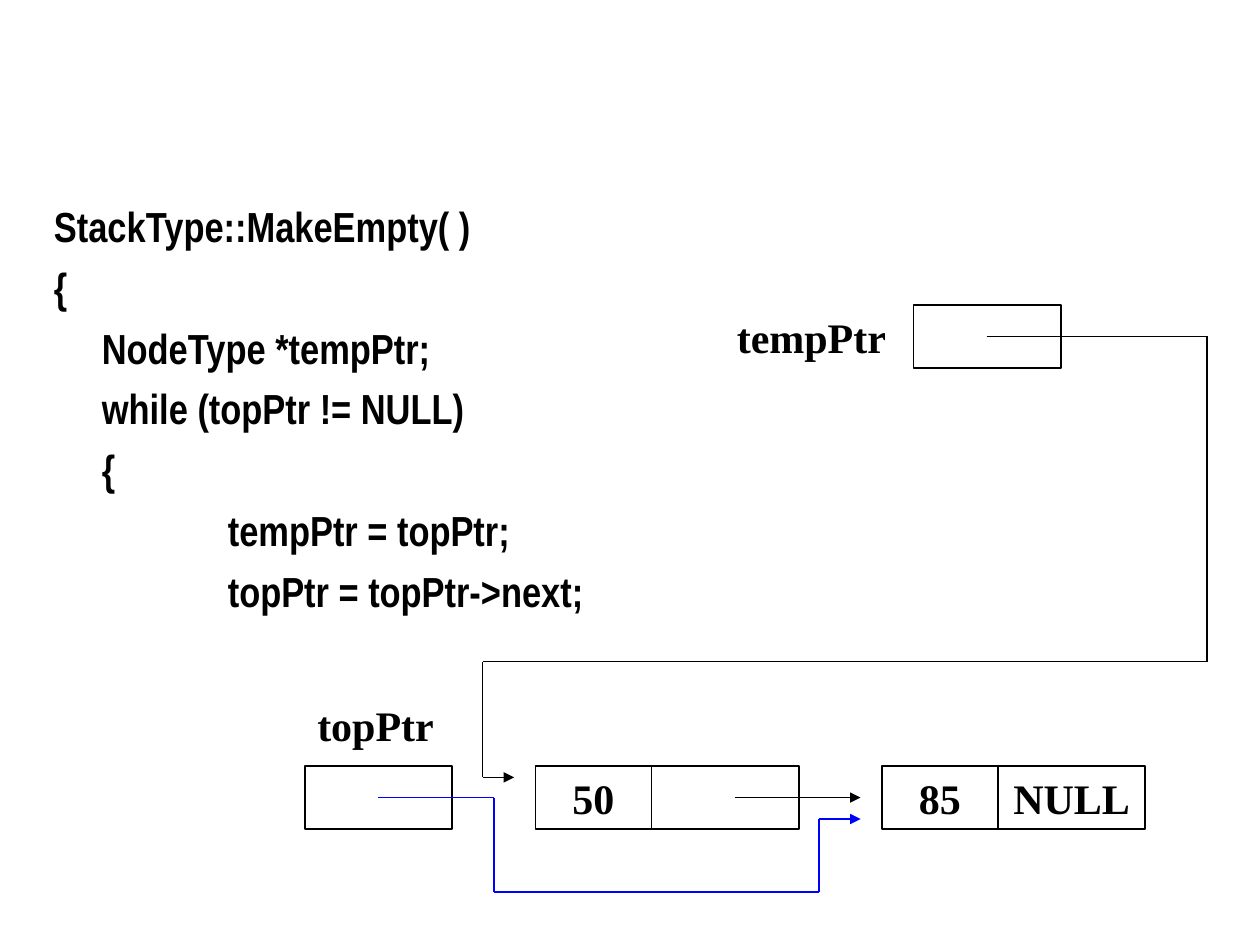
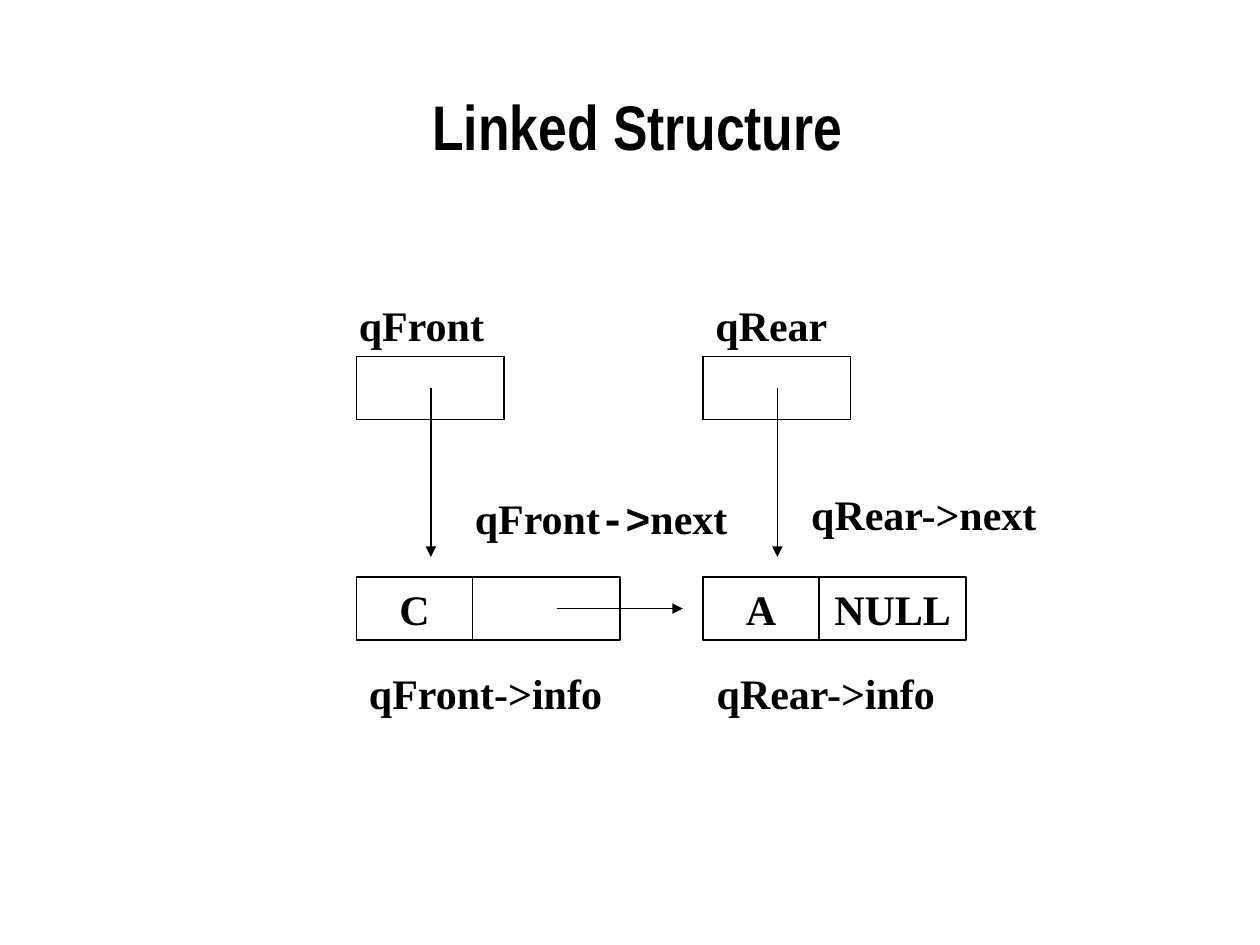
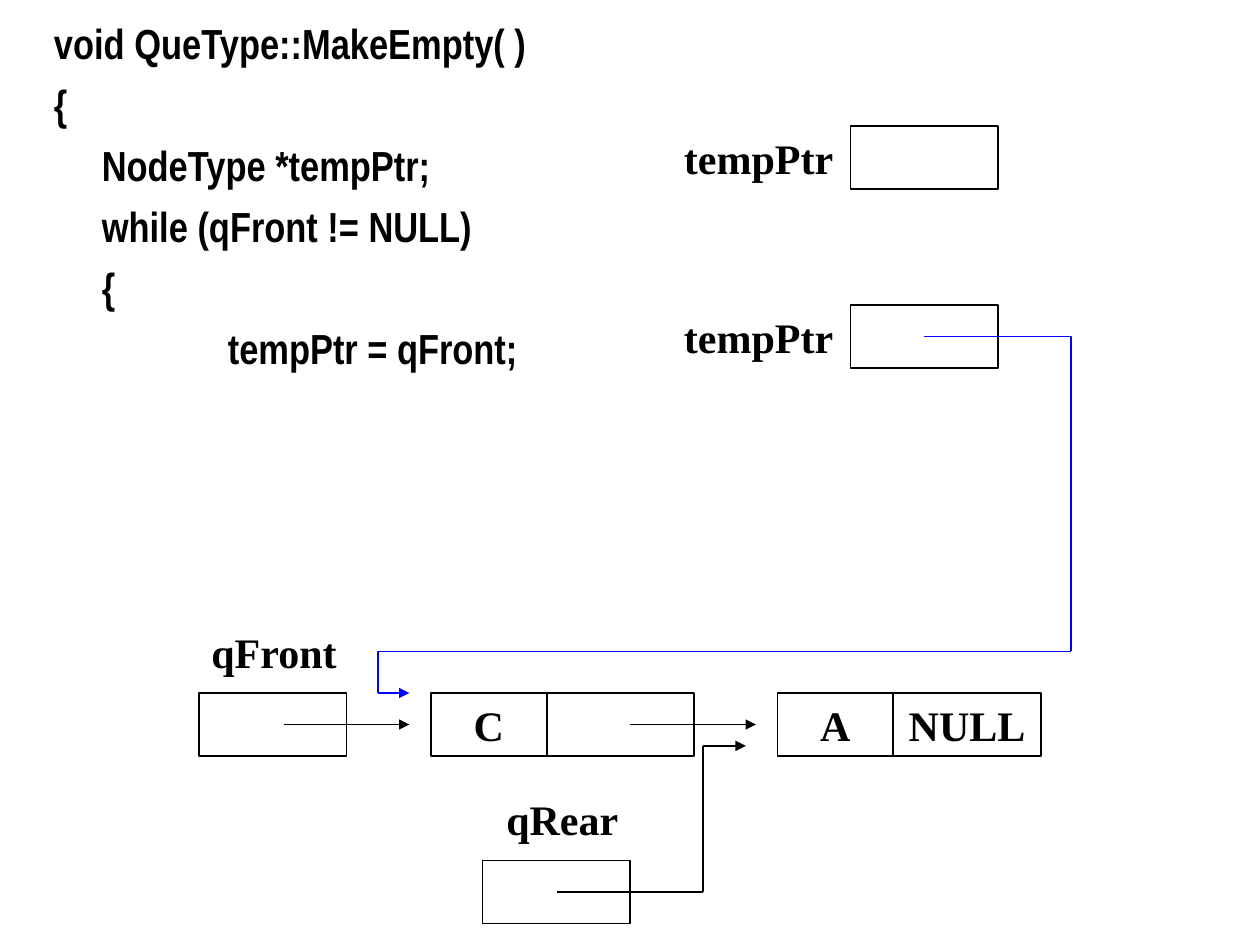
from typing import NamedTuple

from lxml import etree
from pptx import Presentation
from pptx import util as u
from pptx.dml.color import RGBColor
from pptx.enum import shapes, text
from pptx.oxml.ns import qn

COLORS = {"ink": "000000", "paper": "FFFFFF", "new": "0000FF"}
SERIF, NARROW, MONO = "Times New Roman", "Arial Narrow", "Courier New"

# Sizes of the parts of a linked list, in inches
CELL_H, INFO_W, POINTER_W = 0.5, 0.92, 1.17
CODE_INDENTS = (0, 0.38, 1.38)


class Label(NamedTuple):
    content: str | list[tuple[str, str]]
    left: float
    top: float
    width: float
    wrap: bool = True


class Node(NamedTuple):
    info: str
    left: float
    top: float
    link: str = ""


class Pointer(NamedTuple):
    left: float
    top: float


class Route(NamedTuple):
    points: list[tuple[float, float]]
    color: str = "ink"


class CodeLine(NamedTuple):
    level: int
    content: str


def rgb(name: str) -> RGBColor:
    return RGBColor.from_string(COLORS[name])


def write(p, content, *, font=SERIF, size=24, bold=True, color="ink",
          align=text.PP_ALIGN.LEFT) -> None:
    """Write a string, or (string, font) pieces, into a paragraph."""
    p.alignment = align
    pieces = [(content, font)] if isinstance(content, str) else content
    for piece, face in pieces:
        r = p.add_run()
        r.text = piece
        r.font.name, r.font.size, r.font.bold = face, u.Pt(size), bold
        r.font.color.rgb = rgb(color)


def add_box(s, left: float, top: float, width: float, height: float):
    sp = s.shapes.add_textbox(*map(u.Inches, (left, top, width, height)))
    sp.text_frame.word_wrap = True
    return sp.text_frame


def add_title(s, content: str) -> None:
    tf = add_box(s, 0.33, 0.37, 9.46, 1.25)
    tf.vertical_anchor = text.MSO_ANCHOR.MIDDLE
    write(tf.paragraphs[0], content, font=NARROW, size=36,
          align=text.PP_ALIGN.CENTER)


def add_code(s, top: float, height: float, lines: list[CodeLine]) -> None:
    tf = add_box(s, 0.33, top, 9.49, height)
    for i, line in enumerate(lines):
        p = tf.add_paragraph() if i else tf.paragraphs[0]
        p.space_before = u.Pt(6 if i else 0)
        indent = u.Inches(CODE_INDENTS[line.level])
        p._p.get_or_add_pPr().set("marL", str(indent))
        write(p, line.content, font=NARROW)


def add_label(s, label: Label) -> None:
    tf = add_box(s, label.left, label.top, label.width, CELL_H)
    tf.word_wrap = label.wrap
    tf.auto_size = text.MSO_AUTO_SIZE.SHAPE_TO_FIT_TEXT
    write(tf.paragraphs[0], label.content)


def add_cell(s, left: float, top: float, width: float, content: str = "") -> None:
    sp = s.shapes.add_shape(shapes.MSO_SHAPE.RECTANGLE,
                            *map(u.Inches, (left, top, width, CELL_H)))
    sp.shadow.inherit = False
    sp.fill.solid()
    sp.fill.fore_color.rgb = rgb("paper")
    sp.line.color.rgb = rgb("ink")
    sp.line.width = u.Pt(1)
    if content:
        tf = sp.text_frame
        tf.word_wrap = False
        tf.vertical_anchor = text.MSO_ANCHOR.MIDDLE
        write(tf.paragraphs[0], content, align=text.PP_ALIGN.CENTER)


def add_node(s, node: Node) -> None:
    add_cell(s, node.left, node.top, INFO_W, node.info)
    add_cell(s, node.left + INFO_W, node.top, POINTER_W, node.link)


def add_route(s, route: Route) -> None:
    """Draw straight segments through the points, with an arrow at the end."""
    for start, end in zip(route.points, route.points[1:]):
        c = s.shapes.add_connector(shapes.MSO_CONNECTOR.STRAIGHT,
                                   *map(u.Inches, (*start, *end)))
        c.line.color.rgb = rgb(route.color)
        c.line.width = u.Pt(1)
        sp_pr = c._element.spPr
        etree.SubElement(sp_pr, qn("a:effectLst"))
    etree.SubElement(sp_pr.find(qn("a:ln")), qn("a:tailEnd"), type="triangle")


def add_diagram(s, parts: list[Label | Node | Pointer | Route]) -> None:
    for part in parts:
        match part:
            case Pointer(left, top):
                add_cell(s, left, top, POINTER_W)
            case Node():
                add_node(s, part)
            case Label():
                add_label(s, part)
            case Route():
                add_route(s, part)


def stack_make_empty(s) -> None:
    add_code(s, 1.54, 3.5, [
        CodeLine(0, "StackType::MakeEmpty( )"),
        CodeLine(0, "{"),
        CodeLine(1, "NodeType *tempPtr;"),
        CodeLine(1, "while (topPtr != NULL)"),
        CodeLine(1, "{"),
        CodeLine(2, "tempPtr = topPtr;"),
        CodeLine(2, "topPtr = topPtr->next;"),
    ])
    row = 6.08
    add_diagram(s, [
        Pointer(7.25, 2.42), Label("tempPtr", 5.75, 2.42, 1.86),
        Pointer(2.42, row), Label("topPtr", 2.42, 5.5, 1.53),
        Node("50", 4.25, row), Node("85", 7, row, "NULL"),
        Route([(5.83, 6.33), (6.83, 6.33)]),
        Route([(7.83, 2.67), (9.58, 2.67), (9.58, 5.25), (3.83, 5.25),
               (3.83, 6.17), (4.08, 6.17)]),
        Route([(3, 6.33), (3.92, 6.33), (3.92, 7.08), (6.5, 7.08),
               (6.5, 6.5), (6.83, 6.5)], "new"),
    ])


def linked_structure(s) -> None:
    add_title(s, "Linked Structure")
    front, rear = 2.83, 5.58
    add_diagram(s, [
        Node("C", front, 4.58), Node("A", rear, 4.58, "NULL"),
        Pointer(front, 2.83), Pointer(rear, 2.83),
        Label("qFront", 2.75, 2.33, 1.53), Label("qRear", rear, 2.33, 1.53),
        Label("qFront->info", front, 5.25, 2.05, wrap=False),
        Label("qRear->info", 5.59, 5.25, 1.94, wrap=False),
        Label([("qFront", SERIF), ("->", MONO), ("next", SERIF)],
              3.67, 3.86, 2.21, wrap=False),
        Label("qRear->next", 6.34, 3.83, 2, wrap=False),
        Route([(4.42, 4.83), (5.42, 4.83)]),
        Route([(3.42, 3.08), (3.42, 4.42)]),
        Route([(6.17, 3.08), (6.17, 4.42)]),
    ])


def queue_make_empty(s) -> None:
    add_code(s, 0.09, 3, [
        CodeLine(0, "void QueType::MakeEmpty( )"),
        CodeLine(0, "{"),
        CodeLine(1, "NodeType *tempPtr;"),
        CodeLine(1, "while (qFront != NULL)"),
        CodeLine(1, "{"),
        CodeLine(2, "tempPtr = qFront;"),
    ])
    row = 5.5
    add_diagram(s, [
        Pointer(1.58, row), Label("qFront", 1.58, 4.92, 1.53),
        Node("C", 3.42, row), Node("A", 6.17, row, "NULL"),
        Pointer(3.83, 6.83), Label("qRear", 3.92, 6.25, 1.53),
        Route([(5, 5.75), (6, 5.75)]),
        Route([(2.25, 5.75), (3.25, 5.75)]),
        Route([(4.42, 7.08), (5.58, 7.08), (5.58, 5.92), (5.92, 5.92)]),
    ])
    # tempPtr before and after the assignment
    for top in (1, 2.42):
        add_diagram(s, [Pointer(6.75, top), Label("tempPtr", 5.33, top, 1.78)])
    add_route(s, Route([(7.33, 2.67), (8.5, 2.67), (8.5, 5.17), (3, 5.17),
                        (3, 5.5), (3.25, 5.5)], "new"))


def main() -> None:
    prs = Presentation()
    prs.slide_width, prs.slide_height = u.Inches(10), u.Inches(7.5)
    for build in (stack_make_empty, linked_structure, queue_make_empty):
        build(prs.slides.add_slide(prs.slide_layouts[6]))
    prs.save("out.pptx")


if __name__ == "__main__":
    main()
